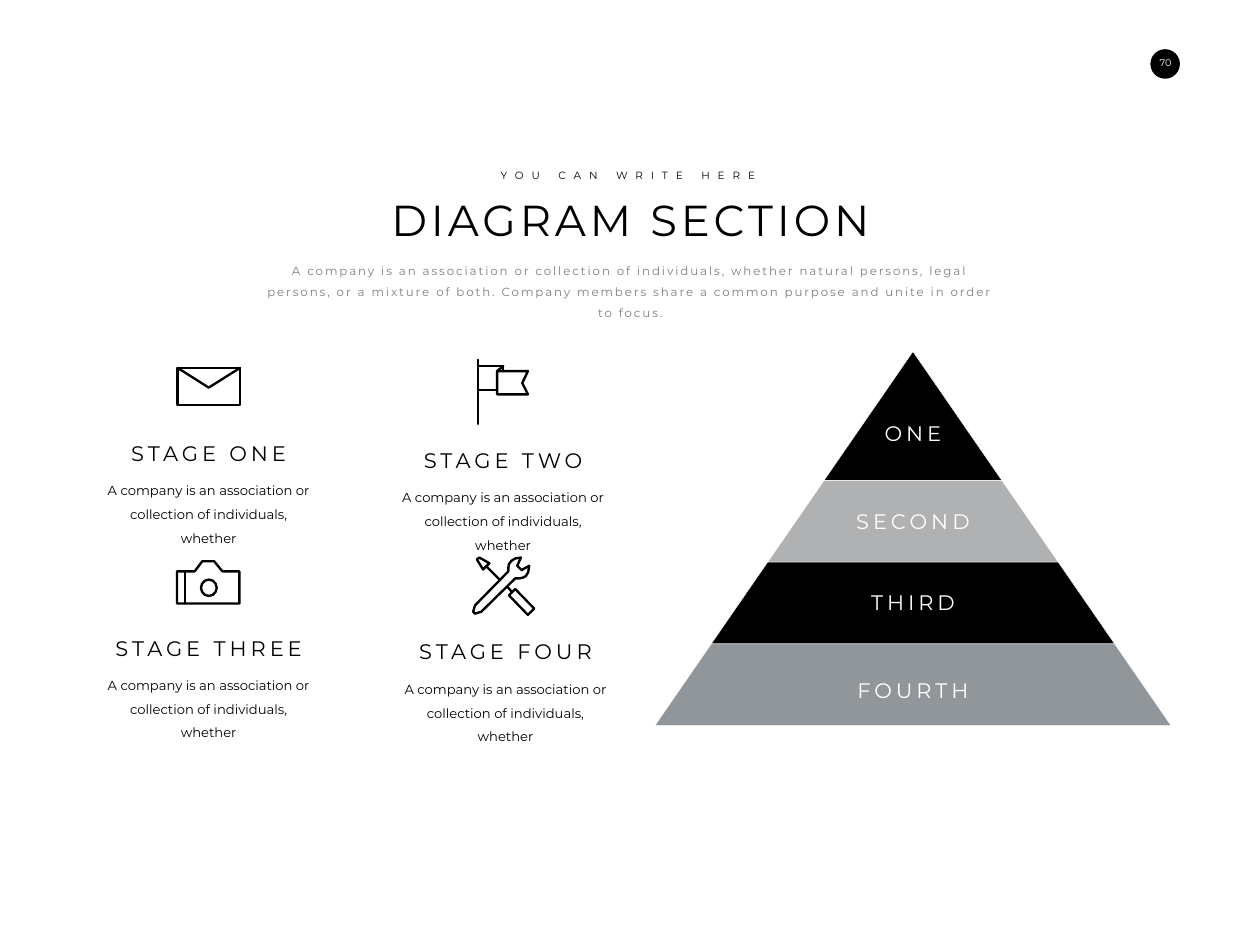
from lxml.etree import SubElement
from pptx import Presentation
from pptx.dml.color import RGBColor
from pptx.enum.shapes import MSO_CONNECTOR as Connector, MSO_SHAPE as Shape
from pptx.enum.text import MSO_AUTO_SIZE as AutoSize, PP_ALIGN as Align
from pptx.oxml.ns import qn
from pptx.util import Pt

COLORS = {"black": "000000", "white": "FFFFFF", "grey": "7F7F7F",
          "silver": "B0B1B3", "slate": "91969B"}


class Canvas:
    font = "Montserrat"
    icon_line = 2.7

    def __init__(self, slide):
        self.slide = slide
        self.shapes = slide.shapes

    def color(self, name):
        return RGBColor.from_string(COLORS[name])

    def paint(self, shape, fill, line, width):
        shape.shadow.inherit = False
        if fill:
            shape.fill.solid()
            shape.fill.fore_color.rgb = self.color(fill)
        else:
            shape.fill.background()
        if line:
            self.stroke(shape, line, width)
        else:
            shape.line.fill.background()

    def stroke(self, shape, color, width):
        shape.line.color.rgb = self.color(color)
        shape.line.width = Pt(width)
        outline = shape._element.spPr.find(qn("a:ln"))
        outline.set("cap", "rnd")
        SubElement(outline, qn("a:round"))

    def text(self, text, center, top, width, height, size, color="black",
             spacing=0, line_spacing=None, wrap=False):
        box = self.shapes.add_textbox(Pt(center - width / 2), Pt(top), Pt(width), Pt(height))
        frame = box.text_frame
        frame.word_wrap = wrap
        frame.auto_size = AutoSize.SHAPE_TO_FIT_TEXT
        paragraph = frame.paragraphs[0]
        paragraph.alignment = Align.CENTER
        if line_spacing:
            paragraph.line_spacing = line_spacing
        run = paragraph.add_run()
        run.text = text
        if spacing:
            run._r.get_or_add_rPr().set("spc", str(round(spacing * 100)))
        paragraph.font.name = self.font
        paragraph.font.size = Pt(size)
        paragraph.font.color.rgb = self.color(color)

    def ellipse(self, left, top, width, height, fill=None, line=None):
        shape = self.shapes.add_shape(Shape.OVAL, Pt(left), Pt(top), Pt(width), Pt(height))
        self.paint(shape, fill, line, self.icon_line)

    def outline(self, points, origin=(0, 0), closed=True, fill=None,
                line="black", width=icon_line):
        left, top = origin
        start, *others = [(Pt(left + x), Pt(top + y)) for x, y in points]
        builder = self.shapes.build_freeform(*start, scale=1.0)
        builder.add_line_segments(others, close=closed)
        self.paint(builder.convert_to_shape(), fill, line, width)

    def line(self, x1, y1, x2, y2, origin):
        left, top = origin
        connector = self.shapes.add_connector(
            Connector.STRAIGHT, Pt(left + x1), Pt(top + y1), Pt(left + x2), Pt(top + y2))
        self.stroke(connector, "black", self.icon_line)
        SubElement(connector._element.spPr, qn("a:effectLst"))


def envelope(canvas, origin):
    canvas.outline([(0, 0), (71.3, 0), (71.3, 42.5), (0, 42.5)], origin)
    canvas.outline([(0, 0), (35.6, 22.5), (71.3, 0)], origin, closed=False)


def flag(canvas, origin):
    canvas.line(0, 0, 0, 73.4, origin)
    canvas.outline([(28.8, 7.2), (21.6, 13), (21.6, 39.6), (56.9, 39.6),
                    (50.4, 26.6), (56.9, 13), (21.6, 13)], origin, closed=False)
    canvas.outline([(21.6, 34.6), (0, 34.6), (0, 7.2), (28.1, 7.2), (28.1, 13)],
                   origin, closed=False)


def camera(canvas, origin):
    canvas.outline([(51.8, 11.5), (42.5, 0), (28.8, 0), (20.2, 11.5), (0, 11.5),
                    (0, 48.2), (71.3, 48.2), (71.3, 11.5)], origin)
    canvas.ellipse(origin[0] + 27.4, origin[1] + 20.9, 18, 18.7, line="black")
    canvas.line(9.4, 11.5, 9.4, 48.2, origin)


def tools(canvas, origin):
    # Screwdriver
    canvas.line(39.6, 33.8, 44.6, 39.6, origin)
    canvas.outline([(41, 43.2), (48.2, 36), (69.8, 58.3), (62.6, 65.5)], origin)
    canvas.outline([(11.5, 13.7), (18.7, 6.5), (7.2, 0), (4.3, 2.2)], origin)
    canvas.line(30.2, 25.2, 15.1, 10.1, origin)
    # Wrench
    canvas.outline([(64.1, 9.4), (55.4, 14.4), (50.4, 9.4), (54.7, 0), (48.2, 1),
                    (44, 3.6), (41, 7.2), (40.3, 11.5), (40.3, 15.8), (2.2, 54.7),
                    (0, 61.9), (2.2, 64.1), (9.4, 61.9), (48.2, 23.8), (52.6, 23.8),
                    (56.9, 23), (60.5, 20.9), (63, 16.6)], origin)


STAGE_TEXT = "A company is an association or collection of individuals, whether"
# Title, centre, title top, icon, icon origin
STAGES = [
    ("STAGE ONE", 238.5, 499.7, envelope, (203, 420.5)),
    ("STAGE TWO", 575, 507.6, flag, (546.5, 411.1)),
    ("STAGE THREE", 238.5, 722.2, camera, (202.3, 641.5)),
    ("STAGE FOUR", 577.8, 726.5, tools, (540.7, 637.2)),
]

# Label, fill, tier bottom, label top
APEX_X, APEX_Y, SLOPE = 1043.4, 401.8, 0.69
TIERS = [
    ("ONE", "black", 549, 476.6),
    ("SECOND", "silver", 642.4, 577.4),
    ("THIRD", "black", 735.8, 669.6),
    ("FOURTH", "slate", 829.2, 770.4),
]


def main():
    presentation = Presentation()
    presentation.slide_width, presentation.slide_height = Pt(1440), Pt(1080)
    canvas = Canvas(presentation.slides.add_slide(presentation.slide_layouts[6]))

    # Page number
    canvas.ellipse(1314.7, 56.2, 33.8, 33.8, fill="black")
    canvas.text("70", 1332, 61.2, 36, 20, 11, "white")

    # Heading
    canvas.text("DIAGRAM SECTION", 720.7, 216.7, 566, 67, 49.5, spacing=4.5)
    canvas.text("YOU CAN WRITE HERE", 717.8, 190.1, 315, 21.6, 12, spacing=9)
    canvas.text("A company is an association or collection of individuals, whether "
                "natural persons, legal persons, or a mixture of both. Company members "
                "share a common purpose and unite in order to focus.",
                720.4, 289.4, 866.2, 56.2, 13.5, "grey", 2.2, 1.5, wrap=True)

    # Pyramid
    top = APEX_Y
    for label, fill, bottom, label_top in TIERS:
        upper, lower = SLOPE * (top - APEX_Y), SLOPE * (bottom - APEX_Y)
        canvas.outline([(-lower, bottom), (-upper, top), (upper, top), (lower, bottom)],
                       (APEX_X, 0), fill=fill, line="white", width=0.5)
        canvas.text(label, APEX_X, label_top, 160, 36.7, 24, "white", 4.5)
        top = bottom

    # Stages
    for title, center, title_top, icon, origin in STAGES:
        icon(canvas, origin)
        canvas.text(STAGE_TEXT, center, title_top + 39.6, 260, 62, 15,
                    line_spacing=1.5, wrap=True)
        canvas.text(title, center, title_top, 260, 36.7, 24, spacing=4.5)

    presentation.save("out.pptx")


if __name__ == "__main__":
    main()
